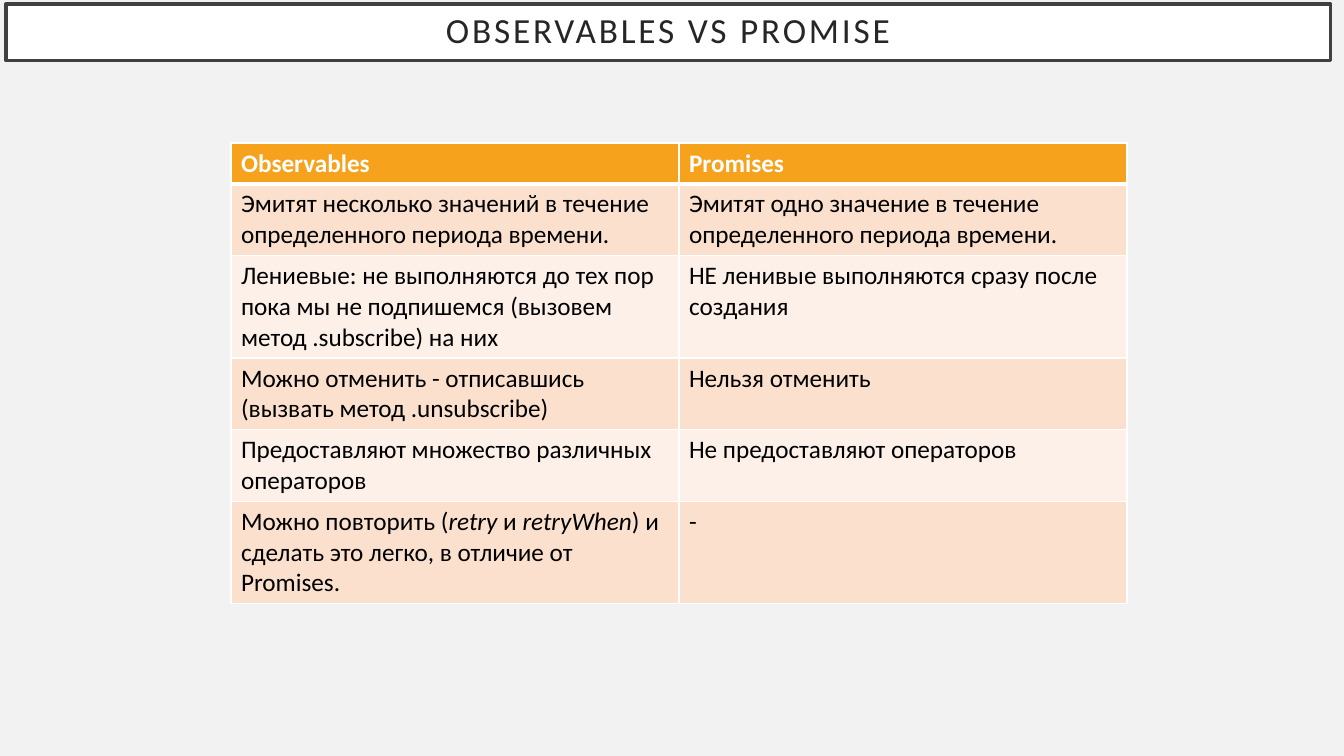
from lxml.etree import SubElement
from pptx import Presentation
from pptx.dml.color import RGBColor
from pptx.enum.text import MSO_ANCHOR, MSO_AUTO_SIZE, PP_ALIGN
from pptx.oxml.ns import qn
from pptx.util import Pt

TITLE = "OBSERVABLES VS PROMISE"
HEADS = ["Observables", "Promises"]
ROWS = [
    ["Эмитят несколько значений в течение определенного периода времени.",
     "Эмитят одно значение в течение определенного периода времени."],
    ["Лениевые: не выполняются до тех пор пока мы не подпишемся (вызовем метод .subscribe) на них",
     "НЕ ленивые выполняются сразу после создания"],
    ["Можно отменить - отписавшись (вызвать метод .unsubscribe)",
     "Нельзя отменить"],
    ["Предоставляют множество различных операторов",
     "Не предоставляют операторов"],
    [["Можно повторить (", "retry", " и ", "retryWhen",
      ") и сделать это легко, в отличие от Promises."],
     "-"],
]
ITALIC = {"retry", "retryWhen"}
FONT = "Calibri"
COLORS = {
    "back": "F2F2F2", "white": "FFFFFF", "frame": "404040", "title": "262626",
    "head": "F6A21D", "odd": "FBE0CD", "even": "FDF0E8", "text": "000000",
}
LEFT, TOP, COL, ROW = 165, 102.2, 320, 29.2


def color(name):
    return RGBColor.from_string(COLORS[name])


def paint(fill, name):
    fill.solid()
    fill.fore_color.rgb = color(name)


def add_run(para, text, size, name, bold=False):
    run = para.add_run()
    run.text = text
    font = run.font
    font.name, font.size, font.bold = FONT, Pt(size), bold
    font.italic = text in ITALIC
    font.color.rgb = color(name)
    return run


def add_edge(cell, side, width):
    props = cell._tc.get_or_add_tcPr()
    line = SubElement(props, qn("a:ln" + side), w=str(Pt(width)))
    fill = SubElement(line, qn("a:solidFill"))
    SubElement(fill, qn("a:srgbClr"), val=COLORS["white"])


def add_title(slide):
    box = slide.shapes.title
    box.left, box.top, box.width, box.height = Pt(4.3), Pt(2.9), Pt(946), Pt(40.3)
    paint(box.fill, "white")
    box.line.color.rgb = color("frame")
    box.line.width = Pt(2.5)
    frame = box.text_frame
    frame.word_wrap = True
    frame.auto_size = MSO_AUTO_SIZE.NONE
    frame.vertical_anchor = MSO_ANCHOR.MIDDLE
    frame.margin_left = frame.margin_right = Pt(14.4)
    frame.margin_top = frame.margin_bottom = Pt(14.4)
    para = frame.paragraphs[0]
    para.alignment = PP_ALIGN.CENTER
    para.line_spacing = 0.9
    run = add_run(para, TITLE, 25.2, "title")
    run.font._element.set("spc", "200")


def add_grid(slide):
    data = [HEADS] + ROWS
    table = slide.shapes.add_table(
        len(data), len(HEADS), Pt(LEFT), Pt(TOP),
        Pt(COL * len(HEADS)), Pt(ROW * len(data))).table
    for r, texts in enumerate(data):
        table.rows[r].height = Pt(ROW)
        shade = "head" if r == 0 else "odd" if r % 2 else "even"
        for c, text in enumerate(texts):
            cell = table.cell(r, c)
            add_edge(cell, "L", 1)
            add_edge(cell, "R", 1)
            add_edge(cell, "T", 3 if r == 1 else 1)
            add_edge(cell, "B", 3 if r == 0 else 1)
            paint(cell.fill, shade)
            para = cell.text_frame.paragraphs[0]
            for part in [text] if isinstance(text, str) else text:
                add_run(para, part, 18, "text" if r else "white", r == 0)


def main():
    deck = Presentation()
    deck.slide_width, deck.slide_height = Pt(960), Pt(540)
    slide = deck.slides.add_slide(deck.slide_layouts[5])
    paint(slide.background.fill, "back")
    add_title(slide)
    add_grid(slide)
    deck.save("out.pptx")


if __name__ == "__main__":
    main()
